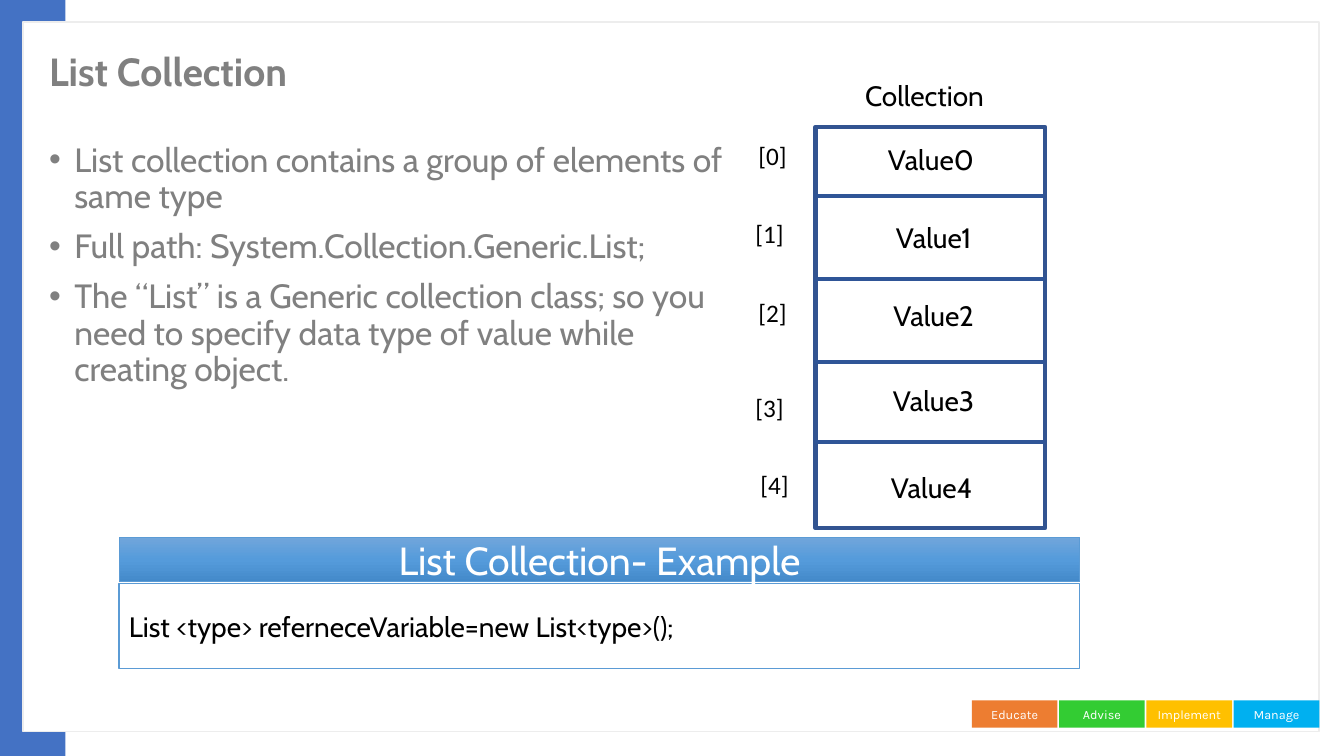
from lxml import etree
from pptx import Presentation
from pptx.dml.color import RGBColor
from pptx.enum.shapes import MSO_CONNECTOR, MSO_SHAPE
from pptx.enum.text import MSO_ANCHOR, PP_ALIGN
from pptx.oxml.ns import qn
from pptx.util import Cm, Pt

RECT, ROUND = MSO_SHAPE.RECTANGLE, MSO_SHAPE.ROUNDED_RECTANGLE
STRAIGHT = MSO_CONNECTOR.STRAIGHT
LEFT, CENTER = PP_ALIGN.LEFT, PP_ALIGN.CENTER
TOP, MIDDLE = MSO_ANCHOR.TOP, MSO_ANCHOR.MIDDLE


def rgb(value):
    return RGBColor.from_string(value)


class SlideBuilder:
    """Draws styled elements on one slide, with lengths in centimetres."""

    font, label_font, tag_font = "Cabin", "Calibri", "Karla"
    black, white, grey = "000000", "FFFFFF", "808080"
    blue, box_blue, divider_blue = "5B9BD5", "325491", "2F5597"

    def __init__(self, slide):
        self.s = slide

    def add_text(self, sp, paragraphs, size, color, font=None, align=CENTER,
                 anchor=MIDDLE, bold=False, spacing=None, bullet=False):
        tf = sp.text_frame
        tf.word_wrap = True
        tf.vertical_anchor = anchor
        for i, text in enumerate(paragraphs):
            p = tf.add_paragraph() if i else tf.paragraphs[0]
            p.alignment = align
            if spacing:
                p.line_spacing = spacing
            if i:
                p.space_before = Pt(10)
            if bullet:
                pPr = p._p.get_or_add_pPr()
                pPr.set("marL", str(Cm(0.635)))
                pPr.set("indent", str(-Cm(0.635)))
                etree.SubElement(pPr, qn("a:buFont"), typeface="Arial")
                etree.SubElement(pPr, qn("a:buChar"), char="•")
            r = p.add_run()
            r.text = text
            r.font.size = Pt(size)
            r.font.name = font or self.font
            r.font.bold = bold
            r.font.color.rgb = rgb(color)

    def text_box(self, x, y, w, h, paragraphs, size, color, **style):
        sp = self.s.shapes.add_textbox(Cm(x), Cm(y), Cm(w), Cm(h))
        self.add_text(sp, paragraphs, size, color, **style)

    def shape(self, x, y, w, h, fill=None, line=None, weight=1, kind=RECT):
        sp = self.s.shapes.add_shape(kind, Cm(x), Cm(y), Cm(w), Cm(h))
        sp.shadow.inherit = False
        if fill:
            sp.fill.solid()
            sp.fill.fore_color.rgb = rgb(fill)
        else:
            sp.fill.background()
        if line:
            sp.line.color.rgb = rgb(line)
            sp.line.width = Pt(weight)
        else:
            sp.line.fill.background()
        return sp

    def gradient(self, sp, colors):
        sp.fill.gradient()
        sp.fill.gradient_angle = 270
        stops = sp._element.spPr.find(".//" + qn("a:gsLst"))
        for old in list(stops):
            stops.remove(old)
        for i, color in enumerate(colors):
            pos = str(100000 * i // (len(colors) - 1))
            gs = etree.SubElement(stops, qn("a:gs"), pos=pos)
            etree.SubElement(gs, qn("a:srgbClr"), val=color)

    def divider(self, x1, x2, y):
        line = self.s.shapes.add_connector(STRAIGHT, Cm(x1), Cm(y), Cm(x2), Cm(y))
        line.line.color.rgb = rgb(self.divider_blue)
        line.line.width = Pt(3)
        etree.SubElement(line._element.spPr, qn("a:effectLst"))

    def cell_label(self, x, y, text):
        sp = self.shape(x, y, 4.34, 0.99, kind=ROUND)
        self.add_text(sp, [text], 20, self.black)


def draw_frame(b):
    b.shape(0, 0, 1.65, 19.05, fill="4472C4")
    b.shape(0.58, 0.56, 32.66, 17.88, fill=b.white, line="EDEDED")
    tags = [("Educate", "ED7D31"), ("Advise", "33CC33"),
            ("Implement", "FFC000"), ("Manage", "00B0F0")]
    for i, (name, color) in enumerate(tags):
        tag = b.shape(24.49 + 2.2 * i, 17.65, 2.16, 0.69, fill=color)
        b.add_text(tag, [name], 9, b.white, font=b.tag_font)


def draw_text(b):
    b.text_box(0.99, 0.76, 26.21, 2.21, ["List Collection"], 28, b.grey,
               align=LEFT, bold=True, spacing=0.9)
    b.text_box(0.99, 3.48, 18.03, 8.99, [
        "List collection contains a group of elements of same type",
        "Full path: System.Collection.Generic.List;",
        "The “List” is a Generic collection class; so you need to specify "
        "data type of value while creating object.",
    ], 24, b.grey, align=LEFT, anchor=TOP, spacing=0.9, bullet=True)


def draw_collection(b):
    left, width = 20.55, 5.79
    b.shape(left, 3.2, width, 10.11, line=b.box_blue, weight=3)
    for y in (4.93, 7.04, 9.12, 11.13):
        b.divider(left, left + width, y)
    b.cell_label(21.13, 1.91, "Collection")
    index_at = [(18.72, 3.48), (18.64, 5.45), (18.72, 7.44),
                (18.64, 9.83), (18.77, 11.76)]
    value_at = [(21.29, 3.53), (21.36, 5.49), (21.36, 7.44),
                (21.36, 9.6), (21.31, 11.79)]
    for i, (index, value) in enumerate(zip(index_at, value_at)):
        b.text_box(*index, 1.5, 0.89, [f"[{i}]"], 18, b.black, font=b.label_font)
        b.cell_label(*value, f"Value{i}")


def draw_example(b):
    code = b.shape(3, 14.71, 24.21, 2.13, fill=b.white, line=b.blue)
    b.add_text(code, ["List <type> referneceVariable=new List<type>();"], 20,
               b.black, align=LEFT)
    header = b.shape(3, 13.54, 24.21, 1.12, line=b.blue, weight=0.5)
    b.gradient(header, ["71A6DB", "559BDB", "448ACA"])
    b.add_text(header, ["List Collection- Example"], 28, b.white)


def main():
    prs = Presentation()
    prs.slide_width, prs.slide_height = Cm(33.87), Cm(19.05)
    b = SlideBuilder(prs.slides.add_slide(prs.slide_layouts[6]))
    draw_frame(b)
    draw_text(b)
    draw_collection(b)
    draw_example(b)
    prs.save("out.pptx")


if __name__ == "__main__":
    main()
